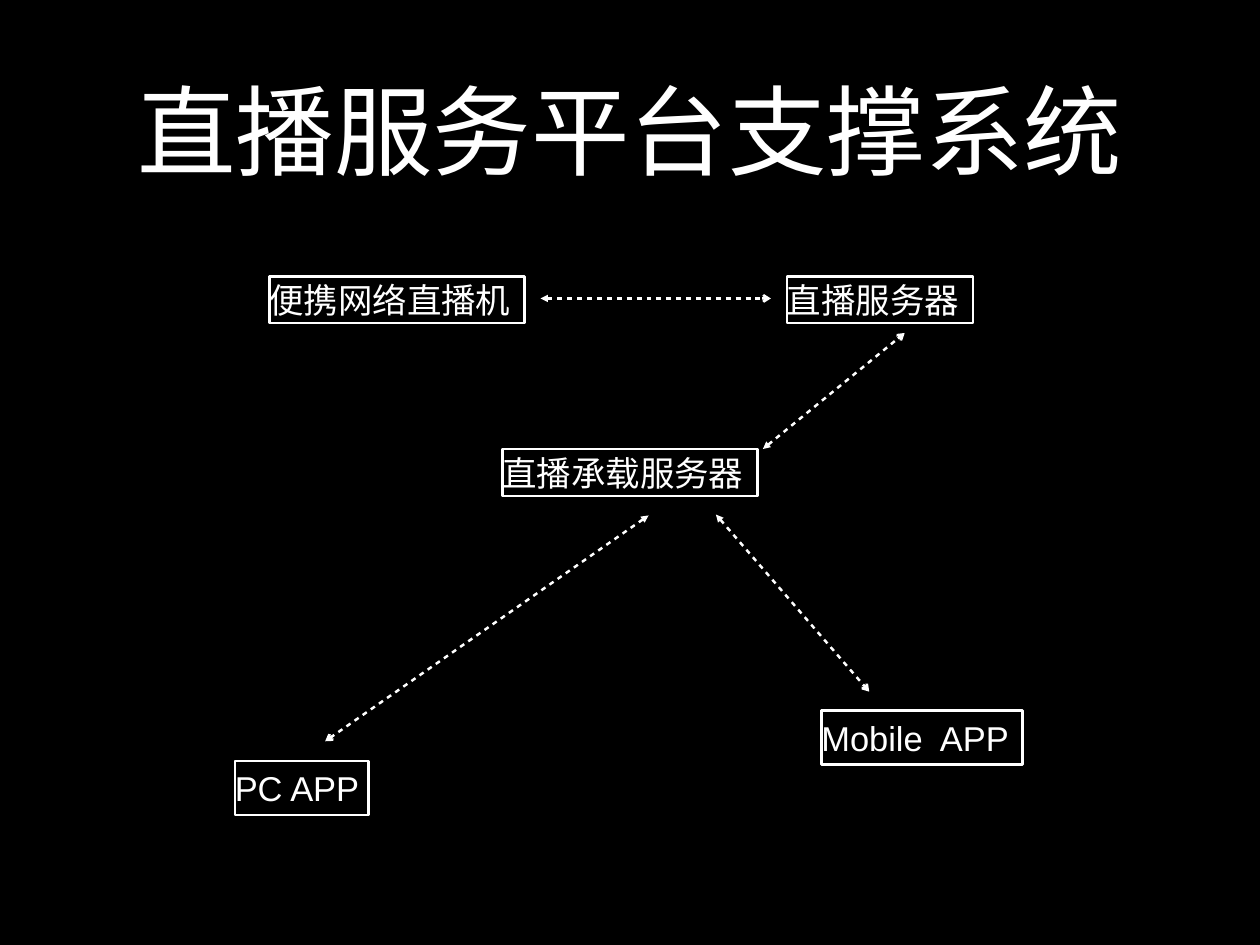
from lxml.etree import SubElement
from pptx import Presentation
from pptx.dml.color import RGBColor
from pptx.enum.shapes import MSO_CONNECTOR, MSO_SHAPE
from pptx.enum.text import MSO_ANCHOR, PP_ALIGN
from pptx.oxml.ns import qn
from pptx.util import Inches, Pt

BLACK = RGBColor(0, 0, 0)
WHITE = RGBColor(255, 255, 255)
FONT = "Arial"

NODES = [
    ("便携网络直播机", 3.04, 3.12, 2.88, 0.53),
    ("直播服务器", 8.88, 3.12, 2.1, 0.53),
    ("直播承载服务器", 5.67, 5.07, 2.88, 0.53),
    ("PC APP", 2.65, 8.59, 1.51, 0.61),
    ("Mobile  APP", 9.27, 8.02, 2.27, 0.61),
]
LINKS = [
    (6.1, 3.37, 8.7, 3.37),
    (8.61, 5.07, 10.21, 3.76),
    (8.08, 5.81, 9.81, 7.81),
    (7.32, 5.82, 3.67, 8.37),
]


def write_text(shape, text, size, alignment):
    frame = shape.text_frame
    frame.word_wrap = True
    frame.vertical_anchor = MSO_ANCHOR.MIDDLE
    frame.margin_left = frame.margin_right = 0
    frame.margin_top = frame.margin_bottom = 0
    para = frame.paragraphs[0]
    para.text = text
    para.alignment = alignment
    para.font.name = FONT
    para.font.size = Pt(size)
    para.font.color.rgb = WHITE


def set_white_line(line):
    line.color.rgb = WHITE
    line.width = Pt(2)


def add_title(page, text):
    box = page.shapes.add_textbox(Inches(1.04), Inches(0.28), Inches(12.14), Inches(2.36))
    write_text(box, text, 80, PP_ALIGN.CENTER)


def add_node(page, text, left, top, width, height):
    box = page.shapes.add_shape(
        MSO_SHAPE.RECTANGLE, Inches(left), Inches(top), Inches(width), Inches(height)
    )
    box.shadow.inherit = False
    box.fill.background()
    set_white_line(box.line)
    write_text(box, text, 28, PP_ALIGN.LEFT)


def add_link(page, *ends):
    """Add a dashed line with an arrowhead at both ends."""
    link = page.shapes.add_connector(MSO_CONNECTOR.STRAIGHT, *map(Inches, ends))
    set_white_line(link.line)
    outline = link.line._get_or_add_ln()
    dash = SubElement(outline, qn("a:custDash"))
    SubElement(dash, qn("a:ds"), d="200000", sp="200000")
    SubElement(outline, qn("a:headEnd"), type="triangle")
    SubElement(outline, qn("a:tailEnd"), type="arrow")
    SubElement(link._element.spPr, qn("a:effectLst"))


def main():
    deck = Presentation()
    deck.slide_width = Inches(14.22)
    deck.slide_height = Inches(10.67)
    page = deck.slides.add_slide(deck.slide_layouts[6])
    page.background.fill.solid()
    page.background.fill.fore_color.rgb = BLACK

    add_title(page, "直播服务平台支撑系统")
    for node in NODES:
        add_node(page, *node)
    for ends in LINKS:
        add_link(page, *ends)
    deck.save("out.pptx")


if __name__ == "__main__":
    main()
